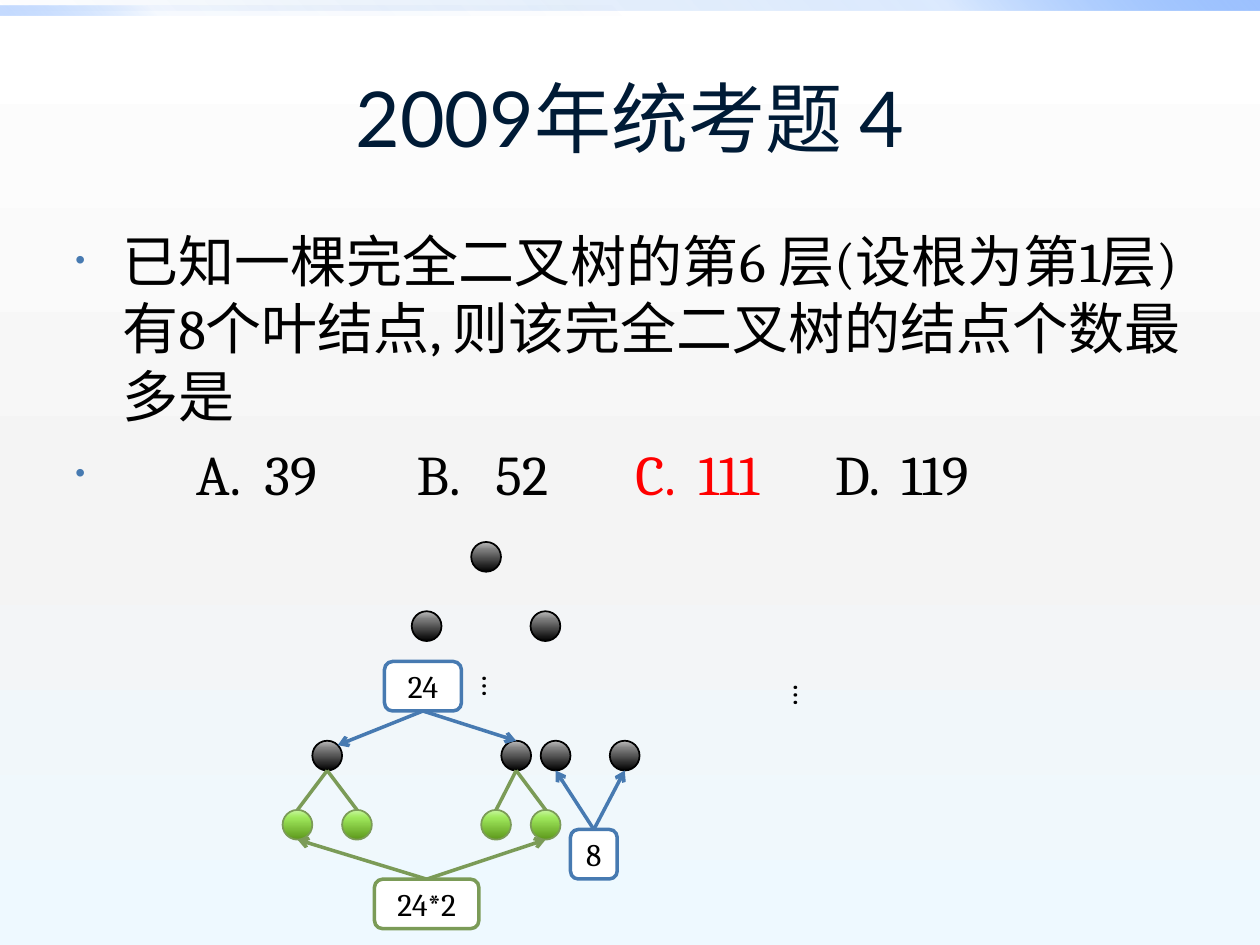
from lxml import etree
from pptx import Presentation
from pptx.dml.color import RGBColor
from pptx.enum.shapes import MSO_CONNECTOR as Conn, MSO_SHAPE as Shape
from pptx.enum.text import MSO_ANCHOR as Anchor, PP_ALIGN as Align
from pptx.oxml.ns import qn
from pptx.util import Pt

TITLE = "2009年统考题 4"
QUESTION = "已知一棵完全二叉树的第6 层(设根为第1层) 有8个叶结点, 则该完全二叉树的结点个数最多是"
OPTIONS = [("A.", "39", 69, 108), ("B.", "52", 195, 240),
           ("C.", "111", 320, 356), ("D.", "119", 434, 472)]
ANSWER = "C."
BLUE, GREEN, BLACK, WHITE, RED = "477AB1", "7B9B57", "000000", "FFFFFF", "FF0000"

# gradient stops: position, colour, opacity in percent
BACK = [(0, WHITE, 100), (55, "F4F4F4", 100), (100, "EEF9FF", 100)]
DARK = [(0, BLACK, 100), (75, "7F7F7F", 100), (100, "BDBDBD", 100)]
LEAF = [(0, "5D981B", 100), (75, "9FE85C", 100), (100, "C8F7A1", 100)]
BARS = [((0, 0, 720, 6), 315, [(0, "0058B7", 0), (75, "4F95FF", 20), (100, "9EC2FF", 100)]),
        ((0, 3, 360, 6), 135, [(0, "0058B7", 0), (75, "4F95FF", 5), (100, "9EC2FF", 60)])]

# tree nodes: centre height, centres across, gradient, outline
R = 8.5
ROW6, ROW7 = 431.8, 471.3
PARENTS, LEAVES, ENDS = [187, 295], [170, 204, 283.5, 311.8], [317.5, 357]
ROWS = [(318.2, [277.8], DARK, BLACK), (357.8, [243.8, 311.7], DARK, BLACK),
        (ROW6, PARENTS + ENDS, DARK, BLACK), (ROW7, LEAVES, LEAF, GREEN)]

# count boxes: text, place, colour, joined side, arrow tips
D = 6  # offset of a point at 45 degrees on a node
BOXES = [("8", (326, 474, 26.7, 28.3), BLUE, 0, [(x, ROW6 + R) for x in ENDS]),
         ("24", (219.7, 378, 44, 28.3), BLUE, 2,
          [(PARENTS[0] + D, ROW6 - D), (PARENTS[1], ROW6 - R)]),
         ("24*2", (214, 502.4, 59.7, 28.3), GREEN, 0,
          [(x, ROW7 + R) for x in (LEAVES[0], LEAVES[-1])])]
DOTS = [(261.4, 378), (439.2, 383)]


def rgb(code):
    return RGBColor.from_string(code)


def sub(node, tag, **attrs):
    return etree.SubElement(node, qn("a:" + tag), attrs)


def shade(fill, root, stops, angle):
    """Give the fill found under root the stops, turned clockwise by angle."""
    fill.gradient()
    grad = root.find(".//" + qn("a:gradFill"))
    for child in list(grad):
        grad.remove(child)
    group = sub(grad, "gsLst")
    for pos, code, alpha in stops:
        stop = sub(group, "gs", pos=str(pos * 1000))
        tint = sub(stop, "srgbClr", val=code)
        if alpha < 100:
            sub(tint, "alpha", val=str(alpha * 1000))
    sub(grad, "lin", ang=str(angle * 60000), scaled="0")


def style(para, size, face="Cambria", code=BLACK):
    para.font.size, para.font.name = Pt(size), face
    para.font.color.rgb = rgb(code)


def add_form(kind, place, line=None, width=1):
    form = slide.shapes.add_shape(kind, *map(Pt, place))
    form.shadow.inherit = False
    if line:
        form.line.color.rgb, form.line.width = rgb(line), Pt(width)
    else:
        form.line.fill.background()
    return form


def add_text(place, wrap=True):
    frame = slide.shapes.add_textbox(*map(Pt, place)).text_frame
    frame.word_wrap = wrap
    return frame


def add_line(start, end, code, arrow=False):
    line = slide.shapes.add_connector(Conn.STRAIGHT, *map(Pt, start + end))
    line.line.color.rgb, line.line.width = rgb(code), Pt(2)
    if arrow:
        sub(line.line._get_or_add_ln(), "tailEnd", type="arrow")
    sub(line._element.spPr, "effectLst")
    return line


def add_bullet(para, hang, tabs=()):
    props = para._p.get_or_add_pPr()
    props.set("marL", str(Pt(hang)))
    props.set("indent", str(-Pt(hang)))
    sub(sub(props, "buClr"), "srgbClr", val=BLUE)
    sub(props, "buSzPct", val="50000")
    sub(props, "buFont", typeface="Arial")
    sub(props, "buChar", char="•")
    if tabs:
        stops = sub(props, "tabLst")
        for tab in tabs:
            sub(stops, "tab", pos=str(Pt(tab)), algn="l")
    style(para, 32)


deck = Presentation()
deck.slide_width, deck.slide_height = Pt(720), Pt(540)
slide = deck.slides.add_slide(deck.slide_layouts[6])
shade(slide.background.fill, slide._element, BACK, 90)
for place, angle, stops in BARS:
    bar = add_form(Shape.RECTANGLE, place)
    shade(bar.fill, bar._element, stops, angle)

frame = add_text((36, 21.6, 648, 90))
frame.vertical_anchor = Anchor.MIDDLE
para = frame.paragraphs[0]
para.text, para.alignment = TITLE, Align.CENTER
style(para, 44, "Lato", "001B36")

frame = add_text((36, 126, 648, 356.4))
para = frame.paragraphs[0]
para.text = QUESTION
add_bullet(para, 27)
para = frame.add_paragraph()
tabs = [x for option in OPTIONS for x in option[2:]]
add_bullet(para, tabs[0], tabs[1:])
para.space_before = Pt(6.4)
for i, (mark, value, *_) in enumerate(OPTIONS):
    run = para.add_run()
    run.text = ("\t" if i else "") + mark + "\t" + value
    if mark == ANSWER:
        run.font.color.rgb = rgb(RED)

for y, centres, stops, line in ROWS:
    for x in centres:
        node = add_form(Shape.OVAL, (x - R, y - R, 2 * R, 2 * R), line)
        shade(node.fill, node._element, stops, 270)
for i, x in enumerate(LEAVES):
    add_line((x, ROW7 - R), (PARENTS[i // 2], ROW6 + R), GREEN)

for text, place, code, side, tips in BOXES:
    box = add_form(Shape.ROUNDED_RECTANGLE, place, code, 2)
    box.fill.solid()
    box.fill.fore_color.rgb = rgb(WHITE)
    frame = box.text_frame
    frame.word_wrap = False
    frame.vertical_anchor = Anchor.MIDDLE
    para = frame.paragraphs[0]
    para.text, para.alignment = text, Align.CENTER
    style(para, 18)
    left, top, wide, high = place
    start = (left + wide / 2, top + (high if side == 2 else 0))
    for tip in tips:
        add_line(start, tip, code, True).begin_connect(box, side)

for spot in DOTS:
    frame = add_text(spot + (36, 21), False)
    frame._txBody.bodyPr.set("vert", "eaVert")
    para = frame.paragraphs[0]
    para.text = "…"
    style(para, 18)

deck.save("out.pptx")
